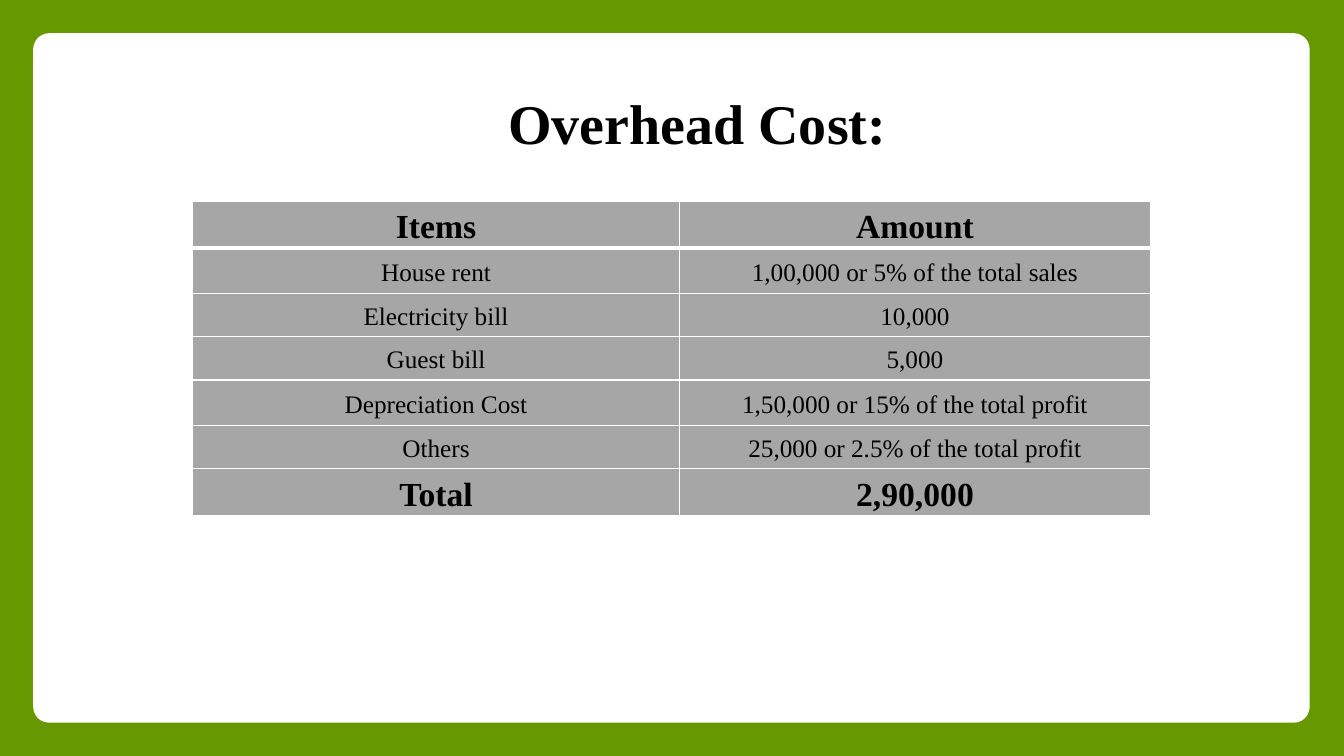
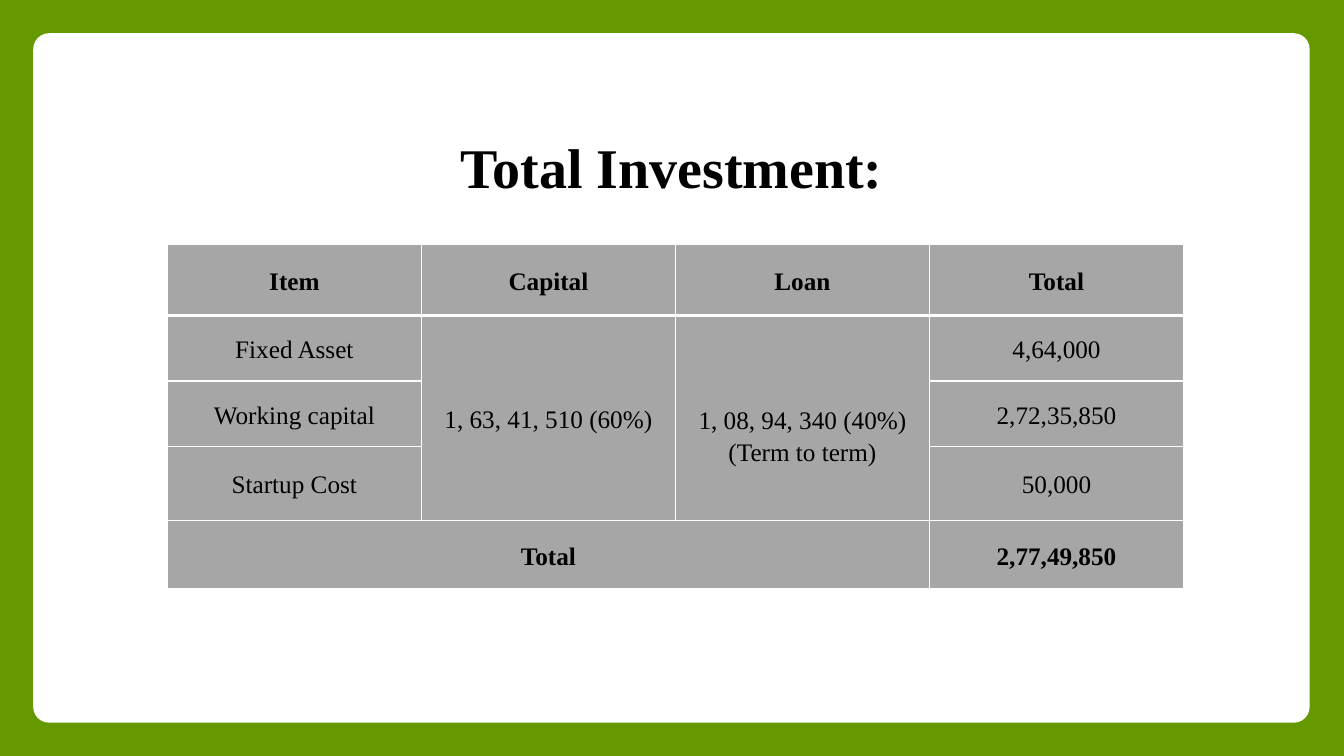
from pptx import Presentation
from pptx.dml.color import RGBColor
from pptx.enum.shapes import MSO_SHAPE as Shape
from pptx.enum.text import MSO_ANCHOR as Anchor, MSO_AUTO_SIZE as AutoSize, PP_ALIGN as Align
from pptx.oxml import parse_xml
from pptx.oxml.ns import nsdecls
from pptx.util import Inches, Pt

GREEN = RGBColor(0x66, 0x99, 0x00)
WHITE = RGBColor(0xFF, 0xFF, 0xFF)
GREY = RGBColor(0xA6, 0xA6, 0xA6)
BLACK = RGBColor(0x00, 0x00, 0x00)
FONT = "Times New Roman"
LINE_SPACING = 1.15


class DeckBuilder:
    """Holds the shared style and the current slide."""

    def __init__(self):
        self.deck = Presentation()
        self.deck.slide_width, self.deck.slide_height = Inches(13.33), Inches(7.5)
        background = self.deck.slide_master.background.fill
        background.solid()
        background.fore_color.rgb = GREEN
        self.page = None

    def new_page(self):
        """Start a slide with the white rounded panel."""
        self.page = self.deck.slides.add_slide(self.deck.slide_layouts[6])
        panel = self.page.shapes.add_shape(
            Shape.ROUNDED_RECTANGLE, Inches(0.33), Inches(0.33), Inches(12.66), Inches(6.84))
        panel.adjustments[0] = 0.023
        panel.shadow.inherit = False
        panel.fill.solid()
        panel.fill.fore_color.rgb = WHITE
        panel.line.fill.background()

    def style(self, para, size, bold, spacing=LINE_SPACING):
        para.alignment = Align.CENTER
        para.line_spacing = spacing
        para.font.name = FONT
        para.font.size = Pt(size)
        para.font.bold = bold
        para.font.color.rgb = BLACK

    def title(self, text, left, top, width, height, wrap=True, spacing=LINE_SPACING):
        box = self.page.shapes.add_textbox(
            Inches(left), Inches(top), Inches(width), Inches(height))
        frame = box.text_frame
        frame.word_wrap = wrap
        frame.auto_size = AutoSize.SHAPE_TO_FIT_TEXT
        frame.text = text
        self.style(frame.paragraphs[0], 40, True, spacing)

    def borders(self, cell, row):
        """Draw thin white rules, with a thick one under the header."""
        widths = {"L": 1, "R": 1, "T": 3 if row == 1 else 1, "B": 3 if row == 0 else 1}
        properties = cell._tc.get_or_add_tcPr()
        for index, (side, width) in enumerate(widths.items()):
            properties.insert(index, parse_xml(
                f'<a:ln{side} {nsdecls("a")} w="{Pt(width)}"><a:solidFill>'
                f'<a:srgbClr val="{WHITE}"/></a:solidFill></a:ln{side}>'))

    def table(self, left, top, columns, heights, rows, strong_size, merges=()):
        """Build a table whose first and last rows are bold."""
        grid = self.page.shapes.add_table(
            len(rows), len(columns), Inches(left), Inches(top),
            Inches(sum(columns)), Inches(sum(heights))).table
        for column, width in zip(grid.columns, columns):
            column.width = Inches(width)
        for line, height in zip(grid.rows, heights):
            line.height = Inches(height)
        for first, last in merges:
            grid.cell(*first).merge(grid.cell(*last))

        for row, texts in enumerate(rows):
            strong = row in (0, len(rows) - 1)
            for column, text in enumerate(texts):
                cell = grid.cell(row, column)
                cell.fill.solid()
                cell.fill.fore_color.rgb = GREY
                self.borders(cell, row)
                cell.vertical_anchor = Anchor.MIDDLE
                cell.margin_left = cell.margin_right = Inches(0.07)
                cell.margin_top = cell.margin_bottom = 0
                if not cell.is_spanned:
                    cell.text = text
                for para in cell.text_frame.paragraphs:
                    self.style(para, strong_size if strong else 18, strong)
        return grid


def main():
    builder = DeckBuilder()

    # Overhead cost
    builder.new_page()
    builder.title("Overhead Cost:", 4.92, 0.83, 3.99, 0.77, wrap=False, spacing=1.0)
    builder.table(
        1.91, 2, [4.83, 4.67], [0.43, 0.45, 0.43, 0.43, 0.45, 0.43, 0.43],
        [("Items", "Amount"),
         ("House rent", "1,00,000 or 5% of the total sales"),
         ("Electricity bill", "10,000"),
         ("Guest bill", "5,000"),
         ("Depreciation Cost", "1,50,000 or 15% of the total profit"),
         ("Others", "25,000 or 2.5% of the total profit"),
         ("Total", "2,90,000")],
        strong_size=24)

    # Total investment
    builder.new_page()
    builder.title("Total Investment:", 3.91, 1.17, 5.5, 0.81)
    investment = builder.table(
        1.66, 2.42, [2.52] * 4, [0.71, 0.65, 0.65, 0.73, 0.68],
        [("Item", "Capital", "Loan", "Total"),
         ("Fixed Asset", "1, 63, 41, 510 (60%)",
          "1, 08, 94, 340 (40%)\n(Term to term)", "4,64,000"),
         ("Working capital", "", "", "2,72,35,850"),
         ("Startup Cost", "", "", "50,000"),
         ("Total", "", "", "2,77,49,850")],
        strong_size=18,
        merges=[((1, 1), (3, 1)), ((1, 2), (3, 2)), ((4, 0), (4, 2))])
    # Lower the two loan lines so the amounts share one line
    investment.cell(1, 2).margin_top = Inches(0.33)

    builder.deck.save("out.pptx")


if __name__ == "__main__":
    main()
